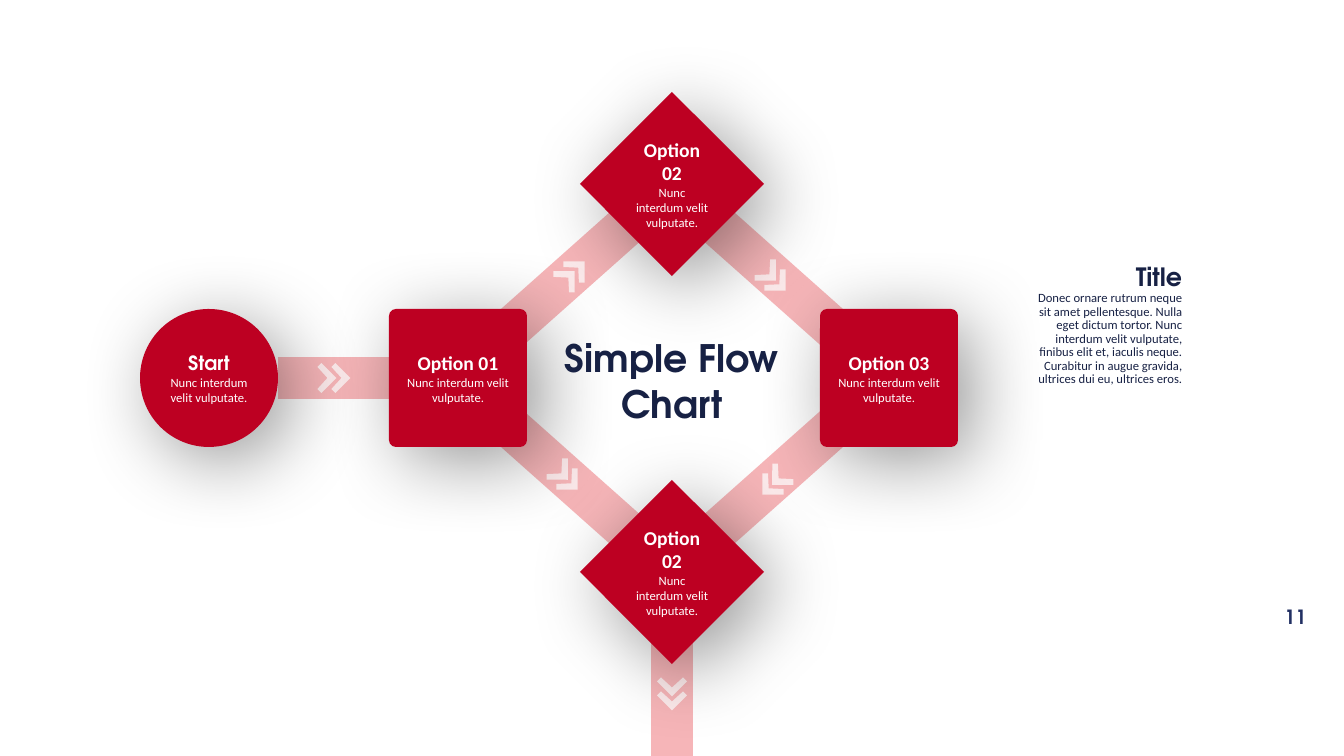
from lxml.etree import SubElement
from pptx import Presentation
from pptx.dml.color import RGBColor
from pptx.enum.shapes import MSO_CONNECTOR, MSO_SHAPE
from pptx.enum.text import MSO_ANCHOR as Anchor, MSO_AUTO_SIZE as AutoSize, PP_ALIGN as Align
from pptx.oxml.ns import qn
from pptx.util import Emu, Pt

EMU_PER_PX = 914400 / 100.8
COLORS = {
    "node": "BD0022",
    "path": "F6B5B8",
    "white": "FFFFFF",
    "black": "000000",
    "heading": "172144",
    "number": "223063",
}
HEADING_FONT = "TeX Gyre Adventor"
BODY_FONT = "Calibri"
NODE_TEXT = "Nunc interdum velit vulputate."
DETAIL_TEXT = (
    "Donec ornare rutrum neque sit amet pellentesque. Nulla eget dictum tortor. "
    "Nunc interdum velit vulputate, finibus elit et, iaculis neque. "
    "Curabitur in augue gravida, ultrices dui eu, ultrices eros."
)
SQUARE_SIZE = 138
DIAMOND_SIZE = 184
CHEVRON = [(0, 26), (10, 15), (0, 4), (4, 0), (19, 15), (4, 30)]
CHEVRON_STEP = 14
CHEVRON_WIDTH, CHEVRON_HEIGHT = 33, 30


def px(value):
    return Emu(round(value * EMU_PER_PX))


def color(name):
    return RGBColor.from_string(COLORS[name])


def write_lines(text_frame, lines, font_color, align, spacing=None):
    text_frame.text = "\n".join(text for text, *_ in lines)
    for paragraph, (_, font_name, size, bold) in zip(text_frame.paragraphs, lines):
        paragraph.alignment = align
        if spacing:
            paragraph.line_spacing = spacing
        font = paragraph.runs[0].font
        font.name = font_name
        font.size = Pt(size)
        font.bold = bold
        font.color.rgb = color(font_color)


def add_text(slide, box, lines, font_color, align, anchor=Anchor.TOP, spacing=None):
    text_frame = slide.shapes.add_textbox(*map(px, box)).text_frame
    text_frame.word_wrap = True
    text_frame.auto_size = AutoSize.SHAPE_TO_FIT_TEXT
    text_frame.vertical_anchor = anchor
    write_lines(text_frame, lines, font_color, align, spacing)
    return text_frame


def add_path(slide, start, end):
    connector = slide.shapes.add_connector(MSO_CONNECTOR.STRAIGHT, *map(px, (*start, *end)))
    connector.line.color.rgb = color("path")
    connector.line.width = Pt(30)
    SubElement(connector._element.spPr, qn("a:effectLst"))


def add_chevrons(slide, center, rotation):
    first = CHEVRON
    second = [(x + CHEVRON_STEP, y) for x, y in CHEVRON]
    builder = slide.shapes.build_freeform(*first[0], scale=EMU_PER_PX)
    builder.add_line_segments(first[1:], close=True)
    builder.move_to(*second[0])
    builder.add_line_segments(second[1:], close=True)
    shape = builder.convert_to_shape(
        px(center[0] - CHEVRON_WIDTH / 2), px(center[1] - CHEVRON_HEIGHT / 2)
    )
    shape.rotation = rotation
    shape.shadow.inherit = False
    shape.line.fill.background()
    shape.fill.solid()
    shape.fill.fore_color.rgb = color("white")
    fill_color = shape._element.spPr.find(qn("a:solidFill")).find(qn("a:srgbClr"))
    SubElement(fill_color, qn("a:alpha"), val="72000")


def add_soft_shadow(shape):
    shape.shadow.inherit = False
    effects = shape._element.spPr.find(qn("a:effectLst"))
    shadow = SubElement(
        effects, qn("a:outerShdw"), blurRad=str(Pt(56)), dist=str(Pt(14)),
        dir="2700000", algn="tl", rotWithShape="0",
    )
    shadow_color = SubElement(shadow, qn("a:srgbClr"), val=COLORS["black"])
    SubElement(shadow_color, qn("a:alpha"), val="40000")


def add_node(slide, center, title, corner=None, title_font=BODY_FONT):
    is_diamond = corner is None
    size = DIAMOND_SIZE if is_diamond else SQUARE_SIZE
    kind = MSO_SHAPE.DIAMOND if is_diamond else MSO_SHAPE.ROUNDED_RECTANGLE
    left, top = (px(value - size / 2) for value in center)
    shape = slide.shapes.add_shape(kind, left, top, px(size), px(size))
    if not is_diamond:
        shape.adjustments[0] = corner
    shape.fill.solid()
    shape.fill.fore_color.rgb = color("node")
    shape.line.fill.background()
    add_soft_shadow(shape)
    shape.text_frame.word_wrap = True
    shape.text_frame.vertical_anchor = Anchor.MIDDLE
    lines = [(title, title_font, 14, True), (NODE_TEXT, BODY_FONT, 9, False)]
    write_lines(shape.text_frame, lines, "white", Align.CENTER)


def add_page_number(slide):
    text_frame = add_text(
        slide, (1282, 601, 27, 32), [("11", HEADING_FONT, 14, True)],
        "number", Align.CENTER, Anchor.MIDDLE,
    )
    text_frame.word_wrap = False
    text_frame.auto_size = AutoSize.NONE
    text_frame.margin_left = text_frame.margin_right = px(7)
    text_frame.margin_top = text_frame.margin_bottom = px(3)


def main():
    presentation = Presentation()
    presentation.slide_width = px(1344)
    presentation.slide_height = px(756)
    slide = presentation.slides.add_slide(presentation.slide_layouts[6])

    add_page_number(slide)

    left, right = (455, 378), (889, 378)
    top, bottom = (672, 185), (672, 571)
    steps = [
        ((672, 632), (672, 756), (672, 694), 90),
        (left, bottom, (566, 478), 45),
        (right, bottom, (774, 483), 135),
        (right, top, (774, 279), 45),
        (left, top, (573, 273), 315),
        ((278, 378), (389, 378), (334, 378), 0),
    ]
    for start, end, chevron_center, rotation in steps:
        add_path(slide, start, end)
        add_chevrons(slide, chevron_center, rotation)

    add_node(slide, (209, 378), "Start", 0.5, HEADING_FONT)
    add_node(slide, (458, 378), "Option 01", 0.05)
    add_node(slide, (672, 184), "Option 02")
    add_node(slide, (672, 572), "Option 02")
    add_node(slide, (889, 378), "Option 03", 0.05)

    chart_title = [(text, HEADING_FONT, 27, True) for text in ("Simple Flow", "Chart")]
    add_text(slide, (549, 330, 246, 102), chart_title, "heading", Align.CENTER)
    detail = [("Title", HEADING_FONT, 18, True), (DETAIL_TEXT, BODY_FONT, 9, False)]
    add_text(
        slide, (1021, 260, 171, 132), detail, "heading", Align.RIGHT, Anchor.MIDDLE, 0.89
    )

    presentation.save("out.pptx")


if __name__ == "__main__":
    main()
